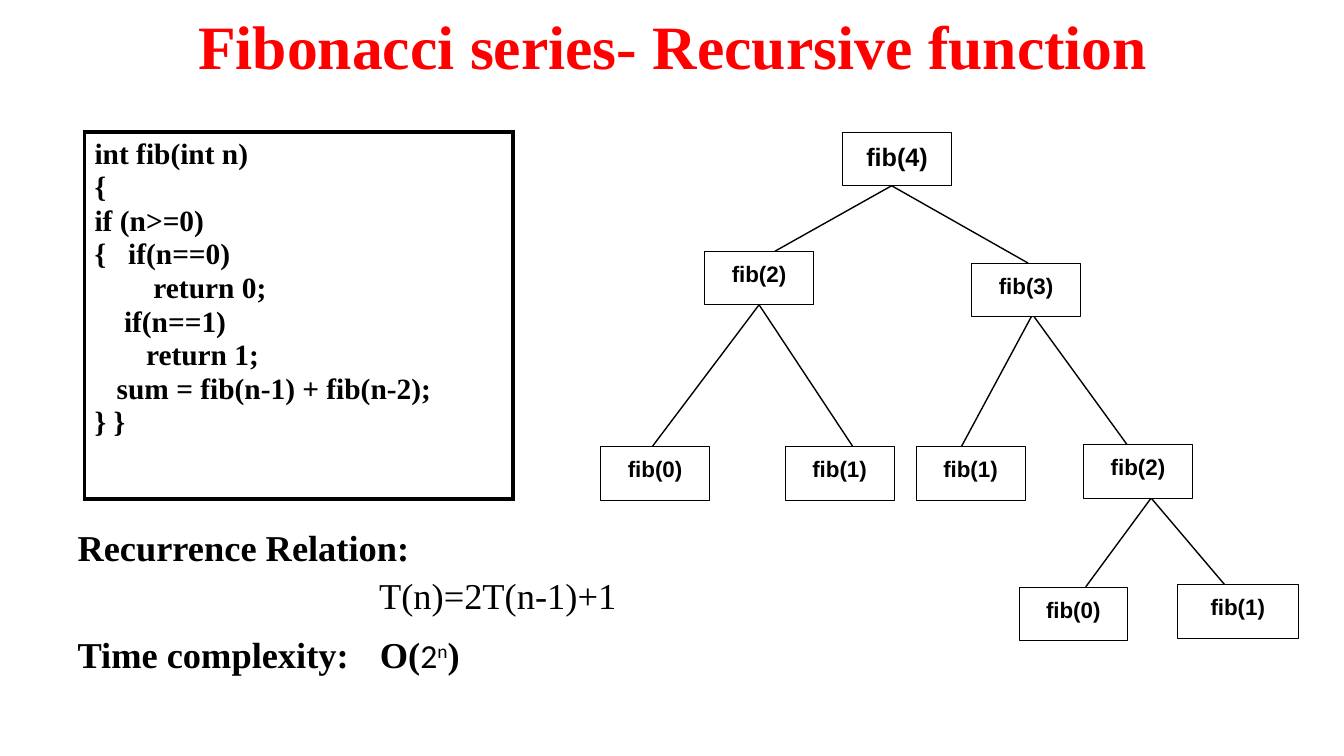
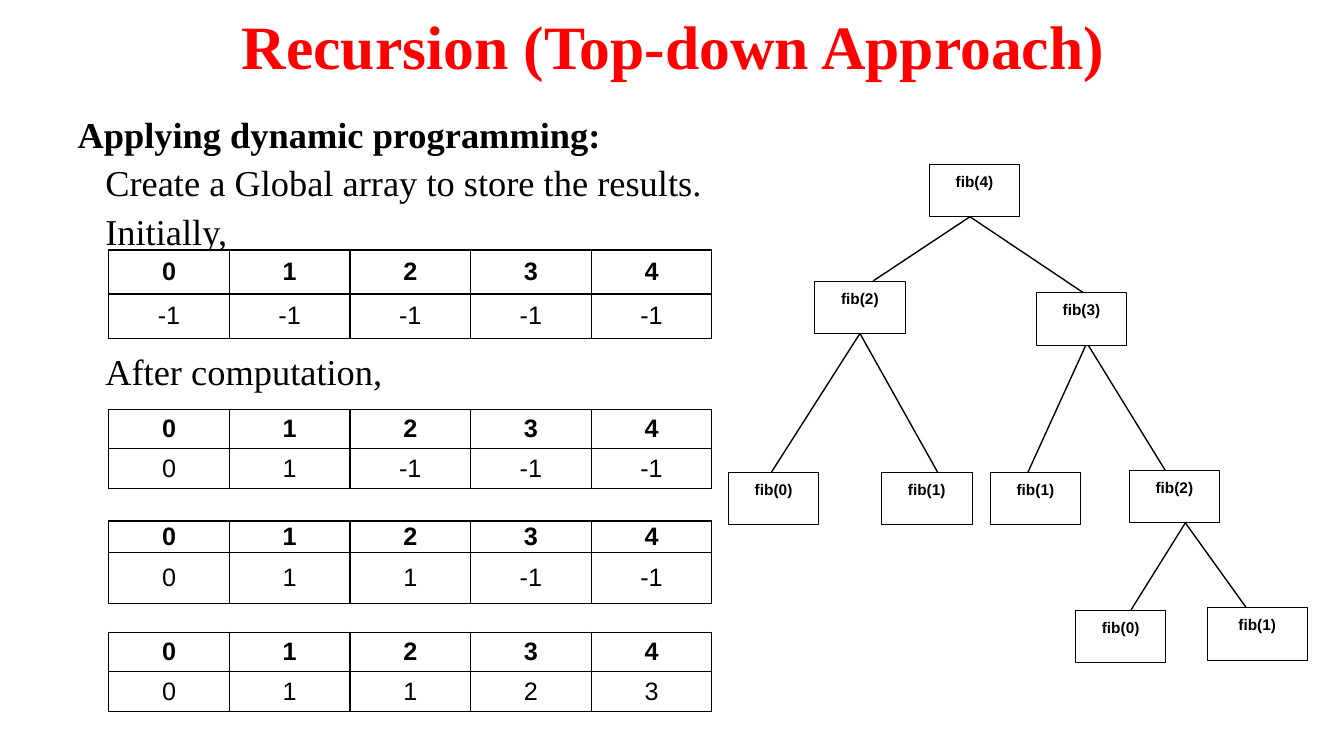
from lxml import etree
from pptx import Presentation
from pptx import util as u
from pptx.dml.color import RGBColor
from pptx.enum import shapes, text
from pptx.oxml import ns

Cm, Pt = u.Cm, u.Pt

# Shared look
RED = RGBColor(0xFF, 0x00, 0x00)
BLACK = RGBColor(0x00, 0x00, 0x00)
WHITE = RGBColor(0xFF, 0xFF, 0xFF)
SERIF, SANS, MATH = "Times New Roman", "Arial", "Calibri"
BODY_SIZE = 26
TAB_STOP = Cm(7.6)
INDENT = Cm(0.7)

# Call tree in cm: label, left, top, width, parent index, line start x, line end x
NODE_HEIGHT = 1.35
TREE = [
    ("fib(4)", 6.1, 0, 2.74, None, 0, 0),
    ("fib(2)", 2.62, 3, 2.74, 0, 7.33, 4.39),
    ("fib(3)", 9.35, 3.3, 2.74, 0, 7.33, 10.77),
    ("fib(0)", 0, 7.92, 2.74, 1, 3.99, 1.3),
    ("fib(1)", 4.65, 7.92, 2.74, 1, 3.99, 6.35),
    ("fib(1)", 7.95, 7.92, 2.74, 2, 10.85, 9.09),
    ("fib(2)", 12.17, 7.87, 2.74, 2, 10.92, 13.26),
    ("fib(0)", 10.54, 11.46, 2.74, 6, 13.87, 12.22),
    ("fib(1)", 14.53, 11.4, 3.05, 6, 13.87, 15.72),
]

CODE = """int fib(int n)
{
if (n>=0)
{   if(n==0)
        return 0;
    if(n==1)
       return 1;
   sum = fib(n-1) + fib(n-2);
} }"""

# Memo arrays: top, height of both rows, stored values
ARRAYS = [
    (6.3, (1.11, 1.11), (-1, -1, -1, -1, -1)),
    (10.31, (1, 1), (0, 1, -1, -1, -1)),
    (13.13, (0.8, 1.27), (0, 1, 1, -1, -1)),
    (15.93, (1, 1), (0, 1, 1, 2, 3)),
]


def add_run(paragraph, words, size=BODY_SIZE, bold=True, font=SERIF, color=BLACK):
    run = paragraph.add_run()
    run.text = words
    run.font.name, run.font.size, run.font.bold = font, Pt(size), bold
    run.font.color.rgb = color
    return run


def add_paragraph(frame, spacing, before=0, indent=0):
    """Use the empty first paragraph, or append a new one."""
    first = frame.paragraphs[0]
    paragraph = frame.add_paragraph() if first.runs else first
    paragraph.line_spacing = spacing
    paragraph.space_before, paragraph.space_after = Pt(before), Pt(0)
    properties = paragraph._p.get_or_add_pPr()
    properties.set("marL", str(int(indent)))
    properties.set("indent", "0")
    return paragraph


def add_body_paragraph(frame, spacing=1.1, before=0, indent=0):
    paragraph = add_paragraph(frame, spacing, before, indent)
    properties = paragraph._p.get_or_add_pPr()
    etree.SubElement(properties, ns.qn("a:buNone"))
    tabs = etree.SubElement(properties, ns.qn("a:tabLst"))
    etree.SubElement(tabs, ns.qn("a:tab"), pos=str(int(TAB_STOP)), algn="l")
    return paragraph


def place(shape, left, top, width, height):
    shape.left, shape.top = Cm(left), Cm(top)
    shape.width, shape.height = Cm(width), Cm(height)


def add_slide(presentation, title, body_top):
    """Add a slide with its red title; return it with the body text frame."""
    slide = presentation.slides.add_slide(presentation.slide_layouts[1])
    heading, body = slide.shapes.title, slide.placeholders[1]
    place(heading, 1.73, 0.33, 30.48, 1.6)
    place(body, 1.7, body_top, 31.8, 18.5 - body_top)
    for shape in (heading, body):
        shape.text_frame.auto_size = text.MSO_AUTO_SIZE.NONE
        shape.text_frame.word_wrap = True
    heading.text_frame.vertical_anchor = text.MSO_ANCHOR.MIDDLE
    paragraph = heading.text_frame.paragraphs[0]
    paragraph.alignment = text.PP_ALIGN.CENTER
    add_run(paragraph, title, 44, color=RED)
    return slide, body.text_frame


def add_line(slide, start, end):
    line = slide.shapes.add_connector(
        shapes.MSO_CONNECTOR.STRAIGHT, *map(Cm, start + end))
    line.line.color.rgb, line.line.width = BLACK, Pt(1)
    etree.SubElement(line._element.spPr, ns.qn("a:effectLst"))


def add_node(slide, label, left, top, width, height, size):
    box = slide.shapes.add_shape(
        shapes.MSO_SHAPE.RECTANGLE, *map(Cm, (left, top, width, height)))
    box.shadow.inherit = False
    box.fill.solid()
    box.fill.fore_color.rgb = WHITE
    box.line.color.rgb, box.line.width = BLACK, Pt(0.5)
    frame = box.text_frame
    frame.word_wrap = True
    frame.vertical_anchor = text.MSO_ANCHOR.TOP
    paragraph = add_paragraph(frame, 1.15)
    paragraph.alignment = text.PP_ALIGN.CENTER
    add_run(paragraph, label, size, font=SANS)


def add_tree(slide, left, top, root_size, node_size, scale_x=1.0, scale_y=1.0):
    def point(x, y):
        return left + x * scale_x, top + y * scale_y

    for _, _, node_top, _, parent, start_x, end_x in TREE:
        if parent is not None:
            parent_bottom = TREE[parent][2] + NODE_HEIGHT
            add_line(slide, point(start_x, parent_bottom), point(end_x, node_top))
    for label, x, y, width, parent, _, _ in TREE:
        size = root_size if parent is None else node_size
        add_node(slide, label, *point(x, y), width * scale_x,
                 NODE_HEIGHT * scale_y, size)


def style_cell(cell, border):
    """Black border on all sides, then a white fill."""
    properties = cell._tc.get_or_add_tcPr()
    for side in ("lnL", "lnR", "lnT", "lnB"):
        line = etree.SubElement(
            properties, ns.qn("a:" + side), w=str(int(Pt(border))))
        fill = etree.SubElement(line, ns.qn("a:solidFill"))
        etree.SubElement(fill, ns.qn("a:srgbClr"), val=str(BLACK))
    cell.fill.solid()
    cell.fill.fore_color.rgb = WHITE


def add_table(slide, left, top, width, row_heights, columns, border):
    frame = slide.shapes.add_table(
        len(row_heights), columns, Cm(left), Cm(top), Cm(width),
        Cm(sum(row_heights)))
    table = frame.table
    table.first_row = table.horz_banding = False
    for row, height in zip(table.rows, row_heights):
        row.height = Cm(height)
    for cell in table.iter_cells():
        style_cell(cell, border)
    return table


def add_code_box(slide):
    table = add_table(slide, 2.13, 3.33, 10.8, (9.25,), 1, border=3)
    for line in CODE.splitlines():
        add_run(add_paragraph(table.cell(0, 0).text_frame, 1.03), line, 21)


def add_array(slide, top, row_heights, values):
    table = add_table(slide, 2.74, top, 15.2, row_heights, len(values), border=1)
    for row, numbers in enumerate((range(len(values)), values)):
        for column, number in enumerate(numbers):
            cell = table.cell(row, column)
            cell.vertical_anchor = text.MSO_ANCHOR.MIDDLE
            cell.margin_top = cell.margin_bottom = 0
            paragraph = cell.text_frame.paragraphs[0]
            paragraph.alignment = text.PP_ALIGN.CENTER
            add_run(paragraph, str(number), 18, bold=row == 0, font=SANS)


def build_recursive_function(presentation):
    slide, body = add_slide(
        presentation, "Fibonacci series- Recursive function", 13)
    add_run(add_body_paragraph(body), "Recurrence Relation:")
    add_run(add_body_paragraph(body, indent=TAB_STOP), "T(n)=2T(n-1)+1", bold=False)
    complexity = add_body_paragraph(body, spacing=1.15, before=6)
    add_run(complexity, "Time complexity:\tO(")
    add_run(complexity, "2", 24, False, MATH)
    exponent = add_run(complexity, "n", 24, False, MATH)
    exponent._r.get_or_add_rPr().set("baseline", "30000")
    add_run(complexity, ")")
    add_tree(slide, 15.14, 3.33, root_size=18, node_size=16)
    add_code_box(slide)


def build_top_down(presentation):
    slide, body = add_slide(presentation, "Recursion (Top-down Approach)", 2.6)
    add_run(add_body_paragraph(body), "Applying dynamic programming:")
    for words, before in (("Create a Global array to store the results.", 0),
                          ("Initially,", 0), ("After computation,", 66)):
        paragraph = add_body_paragraph(body, before=before, indent=INDENT)
        add_run(paragraph, words, bold=False)
    for top, row_heights, values in ARRAYS:
        add_array(slide, top, row_heights, values)
    add_tree(slide, 18.36, 4.14, 11, 11, scale_x=0.83, scale_y=0.98)


def main():
    presentation = Presentation()
    presentation.slide_width, presentation.slide_height = Cm(33.87), Cm(19.05)
    build_recursive_function(presentation)
    build_top_down(presentation)
    presentation.save("out.pptx")


if __name__ == "__main__":
    main()
